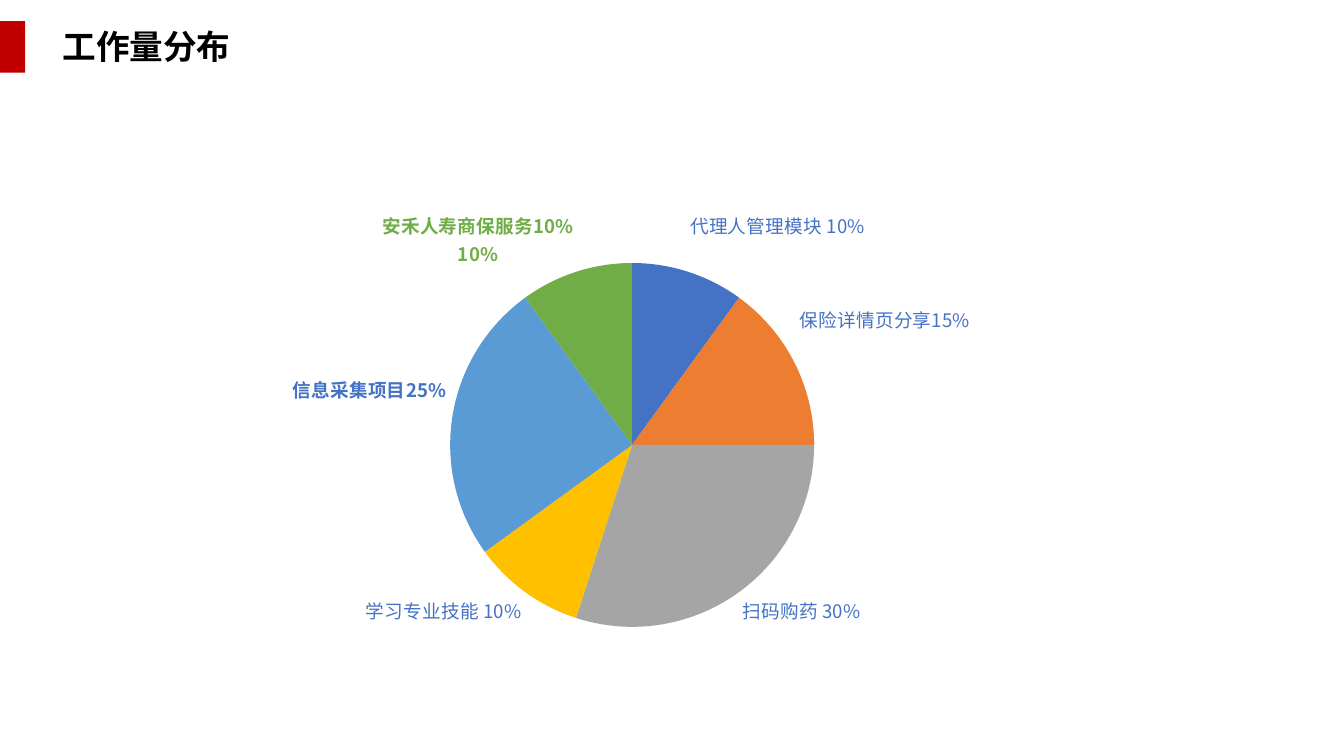
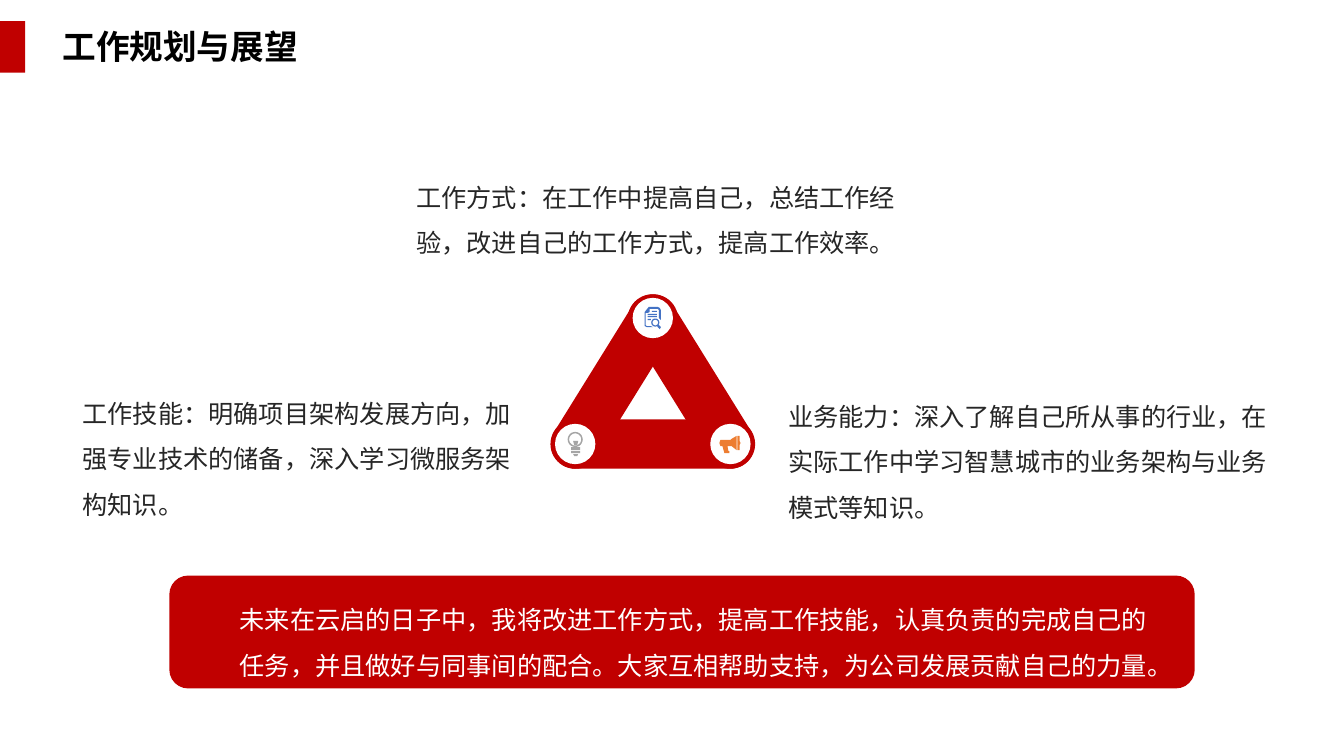
import math

from lxml import etree
from pptx import Presentation
from pptx.chart.data import CategoryChartData
from pptx.dml.color import RGBColor
from pptx.enum import chart as charts, shapes, text
from pptx.oxml import ns
from pptx.util import Inches, Pt

FONT = "Noto Sans CJK SC"
COLORS = {
    "red": "C00000", "white": "FFFFFF", "black": "000000", "body": "262626",
    "blue": "4472C4", "orange": "ED7D31", "gray": "A5A5A5",
    "gold": "FFC000", "sky": "5B9BD5", "green": "70AD47",
}
# category, share, slice colour, label colour, bold label, label shift in inches
WORKLOAD = [
    ("代理人管理模块 10%", 10, "blue", "blue", False, -0.27),
    ("保险详情页分享15%", 15, "orange", "blue", False, -0.27),
    ("扫码购药 30%", 30, "gray", "blue", False, 0),
    ("学习专业技能 10%", 10, "gold", "blue", False, 0),
    ("信息采集项目25%", 25, "sky", "blue", True, -0.13),
    ("安禾人寿商保服务10%", 10, "green", "green", True, 0),
]


def rgb(name):
    return RGBColor.from_string(COLORS[name])


def style_font(font, size, color, bold=False):
    font.name, font.size, font.bold = FONT, Pt(size), bold
    font.color.rgb = rgb(color)


def add_east_asian(root):
    """Use the Latin typeface for Chinese characters too."""
    for latin in list(root.iter(ns.qn("a:latin"))):
        east = etree.Element(ns.qn("a:ea"))
        east.set("typeface", latin.get("typeface"))
        latin.addnext(east)


def write(frame, content, size=18, color="body", bold=False, wrap=True,
          spacing=None, after=0):
    frame.word_wrap = wrap
    frame.auto_size = text.MSO_AUTO_SIZE.SHAPE_TO_FIT_TEXT
    frame.vertical_anchor = text.MSO_ANCHOR.TOP
    paragraph = frame.paragraphs[0]
    paragraph.alignment = text.PP_ALIGN.LEFT
    paragraph.line_spacing = spacing
    paragraph.space_before, paragraph.space_after = Pt(0), Pt(after)
    run = paragraph.add_run()
    run.text = content
    style_font(run.font, size, color, bold)


def add_passage(slide, box, content, color="body"):
    passage = slide.shapes.add_textbox(*map(Inches, box))
    write(passage.text_frame, content, color=color, spacing=1.5, after=6)


def paint(shape, color):
    shape.shadow.inherit = False
    shape.fill.solid()
    shape.fill.fore_color.rgb = rgb(color)
    shape.line.fill.background()
    return shape


def add_block(slide, kind, box, color):
    return paint(slide.shapes.add_shape(kind, *map(Inches, box)), color)


def add_titled_slide(deck, title, width):
    slide = deck.slides.add_slide(deck.slide_layouts[5])
    add_block(slide, shapes.MSO_SHAPE.RECTANGLE, (0, 0.21, 0.25, 0.51), "red")
    heading = slide.shapes.title
    heading.left, heading.top = Inches(0.52), Inches(0.21)
    heading.width, heading.height = Inches(width), Inches(0.5)
    write(heading.text_frame, title, size=24, color="black", bold=True, wrap=False)
    return slide


def manual_layout(**settings):
    layout = etree.Element(ns.qn("c:layout"))
    manual = etree.SubElement(layout, ns.qn("c:manualLayout"))
    for tag, value in settings.items():
        etree.SubElement(manual, ns.qn(f"c:{tag}")).set("val", str(value))
    return layout


def format_slice_labels(space, height):
    """Show category names, and the percentage too on the last slice."""
    labels = space.xpath(".//c:dLbl")
    for label, (*_, shift) in zip(labels, WORKLOAD):
        label.find(ns.qn("c:showVal")).set("val", "0")
        label.find(ns.qn("c:showCatName")).set("val", "1")
        label.find(ns.qn("c:showPercent")).set("val", "0")
        if shift:
            label.find(ns.qn("c:idx")).addnext(
                manual_layout(x=0, y=round(shift / height, 3)))
    labels[-1].find(ns.qn("c:showPercent")).set("val", "1")
    etree.SubElement(labels[-1], ns.qn("c:separator")).text = "\n"
    for leader in space.xpath(".//c:showLeaderLines"):
        leader.set("val", "0")


def add_workload_pie(slide, box, diameter=3.61):
    width, height = box[2:]
    data = CategoryChartData()
    data.categories = [row[0] for row in WORKLOAD]
    data.add_series("Series 1", [row[1] for row in WORKLOAD])
    pie = slide.shapes.add_chart(
        charts.XL_CHART_TYPE.PIE, *map(Inches, box), data).chart
    pie.has_title = pie.has_legend = False
    style_font(pie.font, 10, "black")
    pie.plots[0].vary_by_categories = True
    points = pie.plots[0].series[0].points
    for index, (_, _, fill, color, bold, _) in enumerate(WORKLOAD):
        point = points[index]
        point.format.fill.solid()
        point.format.fill.fore_color.rgb = rgb(fill)
        point.format.line.fill.background()
        style_font(point.data_label.font, 13.3, color, bold)
        point.data_label.position = charts.XL_LABEL_POSITION.OUTSIDE_END

    space = pie._chartSpace
    format_slice_labels(space, height)
    area = space.xpath(".//c:plotArea")[0]
    for old in area.findall(ns.qn("c:layout")):
        area.remove(old)
    area.insert(0, manual_layout(
        layoutTarget="inner", xMode="edge", yMode="edge",
        x=round((width - diameter) / 2 / width, 3), y=0.143,
        w=round(diameter / width, 3), h=round(diameter / height, 3)))
    add_east_asian(space)


def bar(left, top, right, bottom):
    return [(left, top), (right, top), (right, bottom), (left, bottom)]


def ring(x, y, *radii):
    turns = [math.tau * step / 24 for step in range(24)]
    return [[(x + r * math.cos(t), y + r * math.sin(t)) for t in turns]
            for r in radii]


# Outlines in hundredths of an inch around the centre of each badge
REPORT_ICON = [
    [(-4, -11), (5, -11), (7, -10), (8, -8), (8, 2), (6, 0), (6, -8), (5, -9),
     (-3, -9), (-3, -6), (-5, -5), (-7, -5), (-7, 7), (-6, 8), (-2, 8), (0, 9),
     (-6, 9), (-8, 8), (-8, -6)],
    bar(-5, 1, -2, 2), bar(-5, -2, 4, -1), bar(-5, -4, 4, -3), bar(-1, -7, 4, -6),
    *ring(2.5, 4.5, 4, 2.8),
    [(6, 7), (8, 9), (7, 11), (4.5, 8.5)],
]
BULB_ICON = [
    *ring(0, -4.5, 7.5, 6),
    [(-2, -3), (3, -3), (2, 1), (-1, 1)],
    bar(-4, 3, 5, 6), bar(-4, 7, 5, 9),
    [(-2, 10), (3, 10), (2, 12), (-1, 12)],
]
HORN_ICON = [
    [(-10, -4), (0, -4), (1, -5), (6, -8), (6, 6), (1, 2), (-3, 2), (-2, 7),
     (-1, 7), (-1, 9), (-6, 9), (-8, 2), (-10, 2), (-11, -1)],
    [(7, -8), (9, -8), (9, -3), (10, -1), (9, 1), (9, 6), (7, 6)],
]


def add_icon(slide, x, y, outlines, color):
    builder = None
    for outline in outlines:
        start, *rest = [(round(px * 10), round(py * 10)) for px, py in outline]
        if builder is None:
            builder = slide.shapes.build_freeform(*start, scale=Inches(1) / 1000)
        else:
            builder.move_to(*start)
        builder.add_line_segments(rest, close=True)
    paint(builder.convert_to_shape(Inches(x), Inches(y)), color)


def add_triangle(slide, box):
    """Three rounded arms with an icon badge at each corner."""
    left, top, width, height = box
    arm, badge = 0.49, 0.4
    middle, base = left + width / 2, top + height - arm / 2
    side = 1.95
    arms = [(middle, base, width, 0), (middle + 0.38, base - 0.62, side, 58.2),
            (middle - 0.38, base - 0.62, side, 301.8)]
    for x, y, length, angle in arms:
        pill = add_block(slide, shapes.MSO_SHAPE.ROUNDED_RECTANGLE,
                         (x - length / 2, y - arm / 2, length, arm), "red")
        pill.adjustments[0] = 0.5
        pill.rotation = angle
    corners = [(middle, top + arm / 2, REPORT_ICON, "blue"),
               (left + arm / 2, base, BULB_ICON, "gray"),
               (left + width - arm / 2, base, HORN_ICON, "orange")]
    for x, y, icon, color in corners:
        add_block(slide, shapes.MSO_SHAPE.OVAL,
                  (x - badge / 2, y - badge / 2, badge, badge), "white")
        add_icon(slide, x, y, icon, color)


def add_pledge(slide, box, content):
    left, top, width, _ = box
    add_block(slide, shapes.MSO_SHAPE.ROUNDED_RECTANGLE, box, "red")
    add_passage(slide, (left + 0.6, top + 0.09, width - 0.97, 0.96), content, "white")


def build_workload(deck):
    slide = add_titled_slide(deck, "工作量分布", 1.88)
    add_workload_pie(slide, (0.52, 1.92, 11.5, 4.82))


def build_outlook(deck):
    slide = add_titled_slide(deck, "工作规划与展望", 2.56)
    add_passage(slide, (4.03, 1.61, 5.06, 0.96),
                "工作方式：在工作中提高自己，总结工作经验，改进自己的工作方式，提高工作效率。")
    add_passage(slide, (0.72, 3.75, 4.61, 1.41),
                "工作技能：明确项目架构发展方向，加强专业技术的储备，深入学习微服务架构知识。")
    add_pledge(slide, (1.68, 5.71, 10.17, 1.12),
               "未来在云启的日子中，我将改进工作方式，提高工作技能，认真负责的完成自己的任务，"
               "并且做好与同事间的配合。大家互相帮助支持，为公司发展贡献自己的力量。")
    add_triangle(slide, (5.46, 2.91, 2.03, 1.74))
    add_passage(slide, (7.72, 3.78, 5.06, 1.41),
                "业务能力：深入了解自己所从事的行业，在实际工作中学习智慧城市的业务架构与业务模式等知识。")


def main():
    deck = Presentation()
    deck.slide_width, deck.slide_height = Inches(13.33), Inches(7.5)
    build_workload(deck)
    build_outlook(deck)
    for slide in deck.slides:
        add_east_asian(slide.element)
    deck.save("out.pptx")


if __name__ == "__main__":
    main()
